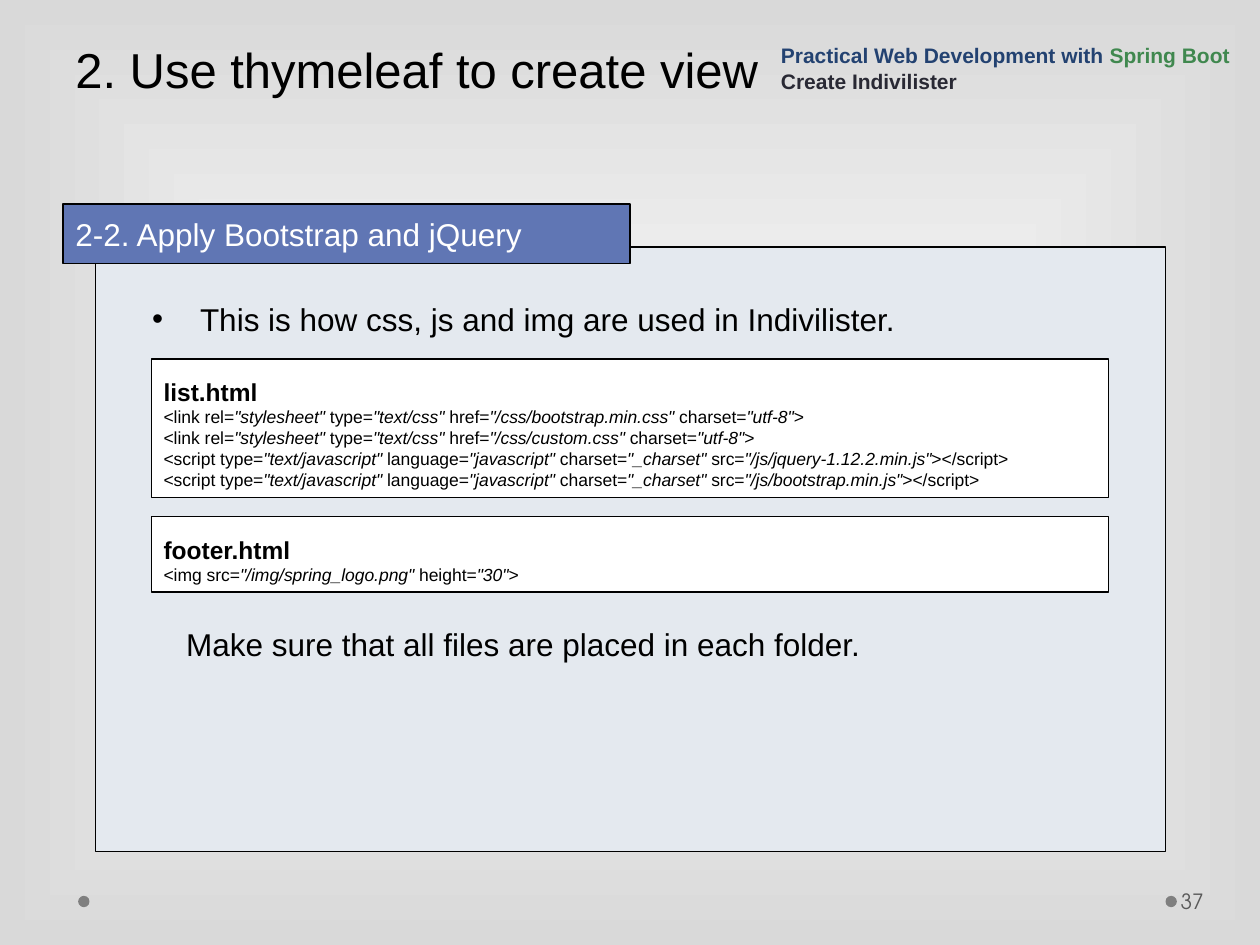
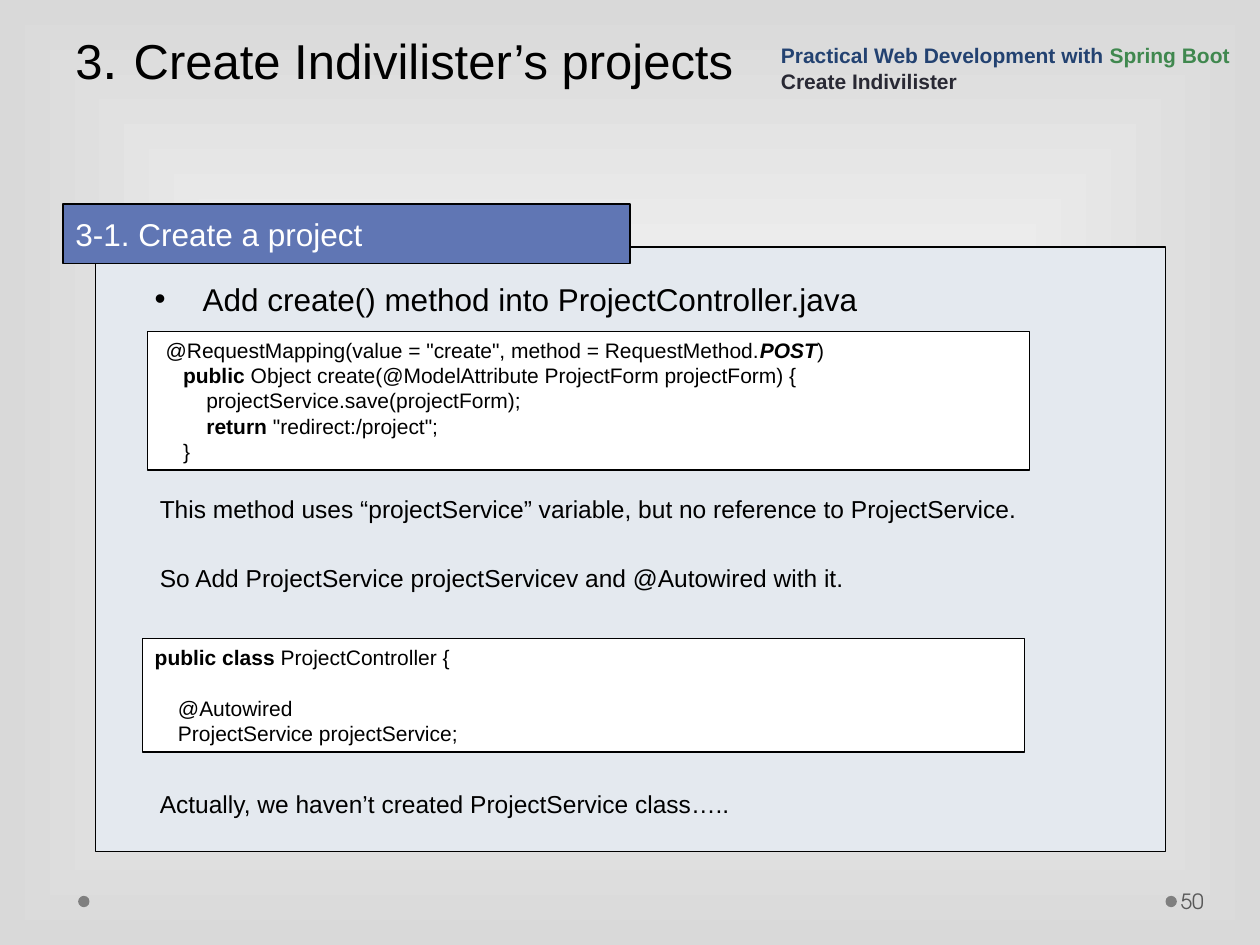
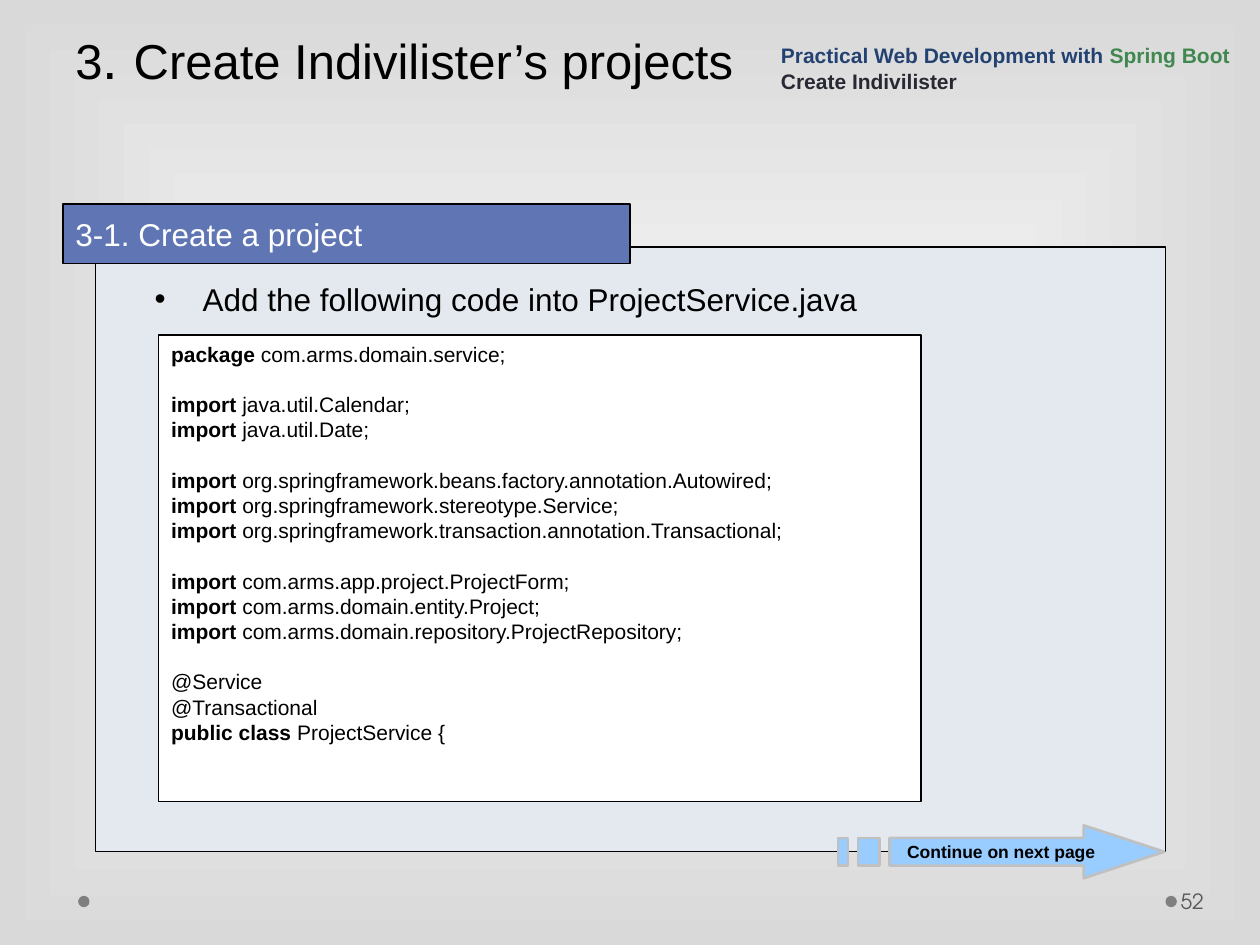
from lxml.etree import SubElement
from pptx import Presentation
from pptx.dml.color import RGBColor
from pptx.enum.shapes import MSO_SHAPE
from pptx.enum.text import MSO_ANCHOR, PP_ALIGN
from pptx.oxml.ns import qn
from pptx.util import Inches, Pt

COLORS = {
    "center": "FFFFFF",
    "edge": "D9D9D9",
    "dot": "7F7F7F",
    "number": "595959",
    "panel": "E4E9EF",
    "band": "6076B4",
    "white": "FFFFFF",
    "black": "000000",
    "course": "234271",
    "spring": "40884F",
    "chapter": "292934",
    "arrow": "99CCFF",
    "arrow_line": "C0C0C0",
}
COLUMNS, ROWS = 100, 75
BODY_FONT, NUMBER_FONT = "Arial", "TeX Gyre Adventor"
LEADING = 1.2
JAVA_STYLES = {"public class": "b", "public": "b", "package": "b",
               "import": "b", "return": "b", "POST": "bi"}

LIST_HTML = [
    '<link rel="stylesheet" type="text/css" href="/css/bootstrap.min.css" charset="utf-8">',
    '<link rel="stylesheet" type="text/css" href="/css/custom.css" charset="utf-8">',
    '<script type="text/javascript" language="javascript" charset="_charset" src="/js/jquery-1.12.2.min.js"></script>',
    '<script type="text/javascript" language="javascript" charset="_charset" src="/js/bootstrap.min.js"></script>',
]
FOOTER_HTML = ['<img src="/img/spring_logo.png" height="30">']
CREATE_METHOD = """\
 @RequestMapping(value = "create", method = RequestMethod.POST)
    public Object create(@ModelAttribute ProjectForm projectForm) {
        projectService.save(projectForm);
        return "redirect:/project";
    }"""
CONTROLLER_CLASS = """\
public class ProjectController {

    @Autowired
    ProjectService projectService;"""
SERVICE_CLASS = """\
package com.arms.domain.service;

import java.util.Calendar;
import java.util.Date;

import org.springframework.beans.factory.annotation.Autowired;
import org.springframework.stereotype.Service;
import org.springframework.transaction.annotation.Transactional;

import com.arms.app.project.ProjectForm;
import com.arms.domain.entity.Project;
import com.arms.domain.repository.ProjectRepository;

@Service
@Transactional
public class ProjectService {"""


def color(name):
    return RGBColor.from_string(COLORS[name])


def html_runs(line):
    pieces = line.split('"')
    return [(f'"{piece}"', "i") if index % 2 else (piece, "")
            for index, piece in enumerate(pieces)]


def java_runs(line):
    for token, style in JAVA_STYLES.items():
        if token in line:
            before, _, after = line.partition(token)
            return [run for run in ((before, ""), (token, style), (after, "")) if run[0]]
    return [(line, "")]


class Deck:
    def __init__(self):
        self.presentation = Presentation()
        self.presentation.slide_width = Inches(10)
        self.presentation.slide_height = Inches(7.5)
        self.column = self.presentation.slide_width / COLUMNS
        self.row = self.presentation.slide_height / ROWS
        self.slide = None
        self.paint_background()

    def paint_background(self):
        fill = self.presentation.slide_master.background.fill
        fill.gradient()
        for stop, name in zip(fill.gradient_stops, ("center", "edge")):
            stop.color.rgb = color(name)
        background = self.presentation.slide_master.element
        gradient = next(background.iter(qn("a:gradFill")))
        linear = gradient.find(qn("a:lin"))
        if linear is not None:
            gradient.remove(linear)
        shade = SubElement(gradient, qn("a:path"))
        shade.set("path", "rect")
        target = SubElement(shade, qn("a:fillToRect"))
        for side in "ltrb":
            target.set(side, "50000")

    def point(self, column, row):
        return round(column * self.column), round(row * self.row)

    def place(self, area):
        return self.point(*area[:2]) + self.point(*area[2:])

    def paint(self, shape, fill, line=None, width=0.75):
        shape.shadow.inherit = False
        shape.fill.solid()
        shape.fill.fore_color.rgb = color(fill)
        if line:
            shape.line.color.rgb = color(line)
            shape.line.width = Pt(width)
        else:
            shape.line.fill.background()
        return shape

    def box(self, area, fill, line="black", kind=MSO_SHAPE.RECTANGLE):
        return self.paint(self.slide.shapes.add_shape(kind, *self.place(area)), fill, line)

    def text_box(self, area):
        return self.slide.shapes.add_textbox(*self.place(area))

    def frame(self, shape, anchor=MSO_ANCHOR.TOP, wrap=True):
        frame = shape.text_frame
        frame.word_wrap = wrap
        frame.vertical_anchor = anchor
        return frame

    def paragraph(self, frame, runs, size, ink="black", font=BODY_FONT,
                  leading=LEADING, align=PP_ALIGN.LEFT, gap=0):
        paragraph = frame.paragraphs[0]
        if paragraph.runs:
            paragraph = frame.add_paragraph()
        paragraph.alignment = align
        paragraph.line_spacing = Pt(size * leading)
        if gap:
            paragraph.space_before = Pt(gap)
        for text, style, *special in runs:
            run = paragraph.add_run()
            run.text = text
            run.font.name = font
            run.font.size = Pt(size)
            run.font.bold = "b" in style
            run.font.italic = "i" in style
            run.font.color.rgb = color(ink)
            for value in special:
                if isinstance(value, str):
                    run.font.color.rgb = color(value)
                else:
                    run.font.size = Pt(value)
        return paragraph

    def new_slide(self, number, title, title_inset, section):
        self.slide = self.presentation.slides.add_slide(self.presentation.slide_layouts[6])
        for left in (92.5, 6.2):
            self.box((left, 71.1, 0.9, 0.9), "dot", None, MSO_SHAPE.OVAL)
        frame = self.frame(self.text_box((93.4, 69.5, 6.1, 4)), MSO_ANCHOR.MIDDLE)
        frame.margin_left, frame.margin_right = Inches(0.03), Inches(0.05)
        self.paragraph(frame, [(number, "")], 12, "number", NUMBER_FONT)
        self.box((7.6, 19.6, 84.9, 48), "panel")
        frame = self.frame(self.text_box((5, 0, 90, 16.1)))
        frame.margin_top = Inches(title_inset)
        self.paragraph(frame, title, 28)
        frame = self.frame(self.box((5, 16.2, 45, 4.7), "band"), MSO_ANCHOR.MIDDLE)
        self.paragraph(frame, [(section, "")], 18, "white")
        frame = self.frame(self.text_box((61, 2.4, 39, 5.5)), MSO_ANCHOR.BOTTOM)
        self.paragraph(frame, [("Practical Web Development with ", "b"),
                               ("Spring Boot", "b", "spring")], 12, "course")
        self.paragraph(frame, [("Create Indivilister", "b")], 12, "chapter")

    def note(self, area, text, size):
        return self.paragraph(self.frame(self.text_box(area)), [(text, "")], size)

    def bullet(self, left, top, text):
        paragraph = self.note((left, top, 77.4, 4), text, 18)
        properties = paragraph._p.get_or_add_pPr()
        properties.set("marL", str(Inches(0.38)))
        properties.set("indent", str(-Inches(0.38)))
        SubElement(properties, qn("a:buFont")).set("typeface", BODY_FONT)
        SubElement(properties, qn("a:buChar")).set("char", "•")

    def html_listing(self, area, name, lines):
        frame = self.frame(self.box(area, "white"))
        self.paragraph(frame, [(name, "b")], 14, leading=1.4 * LEADING)
        for line in lines:
            self.paragraph(frame, html_runs(line), 10)

    def java_listing(self, area, code):
        frame = self.frame(self.box(area, "white"))
        gap = 0
        for line in code.splitlines():
            if line:
                self.paragraph(frame, java_runs(line), 12, gap=gap)
                gap = 0
            else:
                gap += 12 * LEADING

    def next_page_arrow(self, text):
        top, upper, middle, lower, bottom = 65.5, 66.5, 67.6, 68.7, 69.7
        head, tip = 86, 92.4
        outlines = [[(head, top), (head, upper), (70.6, upper), (70.6, lower),
                     (head, lower), (head, bottom), (tip, middle)]]
        for left, right in ((68.1, 69.8), (66.5, 67.3)):
            outlines.append([(left, upper), (left, lower), (right, lower), (right, upper)])
        builder = self.slide.shapes.build_freeform(*self.point(*outlines[0][0]))
        for index, outline in enumerate(outlines):
            points = [self.point(*corner) for corner in outline]
            if index:
                builder.move_to(*points[0])
            builder.add_line_segments(points[1:], close=True)
        arrow = self.paint(builder.convert_to_shape(), "arrow", "arrow_line", 1.5)
        frame = self.frame(arrow, MSO_ANCHOR.MIDDLE, wrap=False)
        self.paragraph(frame, [(text, "b")], 10, align=PP_ALIGN.CENTER)


def main():
    deck = Deck()
    deck.new_slide("37", [("2. Use thymeleaf to create view", "")], 0.31,
                   "2-2. Apply Bootstrap and jQuery")
    deck.bullet(11.1, 23.3, "This is how css, js and img are used in Indivilister.")
    deck.html_listing((12, 28.5, 76, 11), "list.html", LIST_HTML)
    deck.html_listing((12, 41, 76, 6), "footer.html", FOOTER_HTML)
    deck.note((13.8, 49.1, 70.7, 4), "Make sure that all files are placed in each folder.", 18)

    project_title = [("3", ""), (". ", "", 32), ("Create Indivilister’s projects", "")]
    project_section = "3-1. Create a project"
    deck.new_slide("50", project_title, 0.25, project_section)
    deck.bullet(11.3, 21.7, "Add create() method into ProjectController.java")
    deck.java_listing((11.7, 26.3, 70, 11), CREATE_METHOD)
    deck.java_listing((11.3, 50.7, 70, 9), CONTROLLER_CLASS)
    for top, text in (
        (38.7, "This method uses “projectService” variable, but no reference to ProjectService."),
        (44.2, "So Add ProjectService projectServicev and @Autowired with it."),
        (62.1, "Actually, we haven’t created ProjectService class….."),
    ):
        deck.note((11.7, top, 73, 5.5), text, 14)

    deck.new_slide("52", project_title, 0.25, project_section)
    deck.bullet(11.3, 21.7, "Add the following code into ProjectService.java")
    deck.java_listing((12.6, 26.6, 60.5, 37), SERVICE_CLASS)
    deck.next_page_arrow("Continue on next page")

    deck.presentation.save("out.pptx")


if __name__ == "__main__":
    main()
